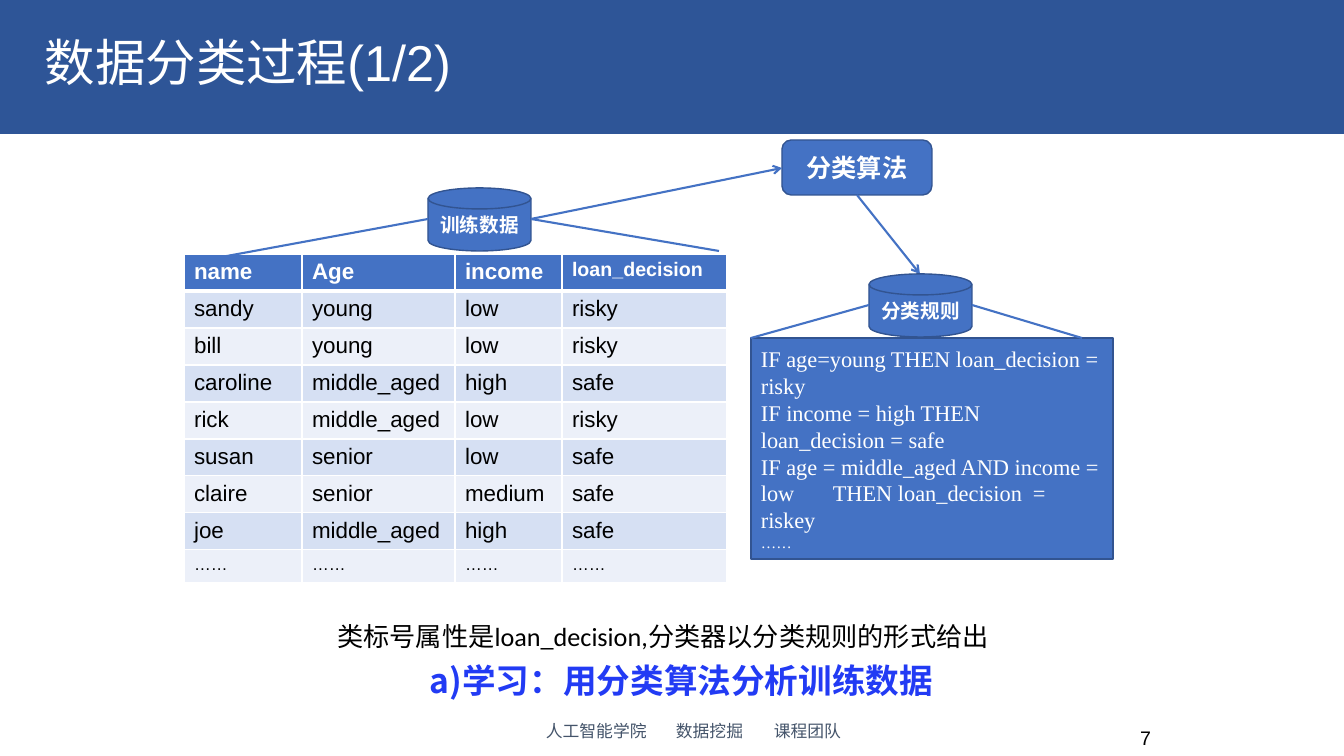
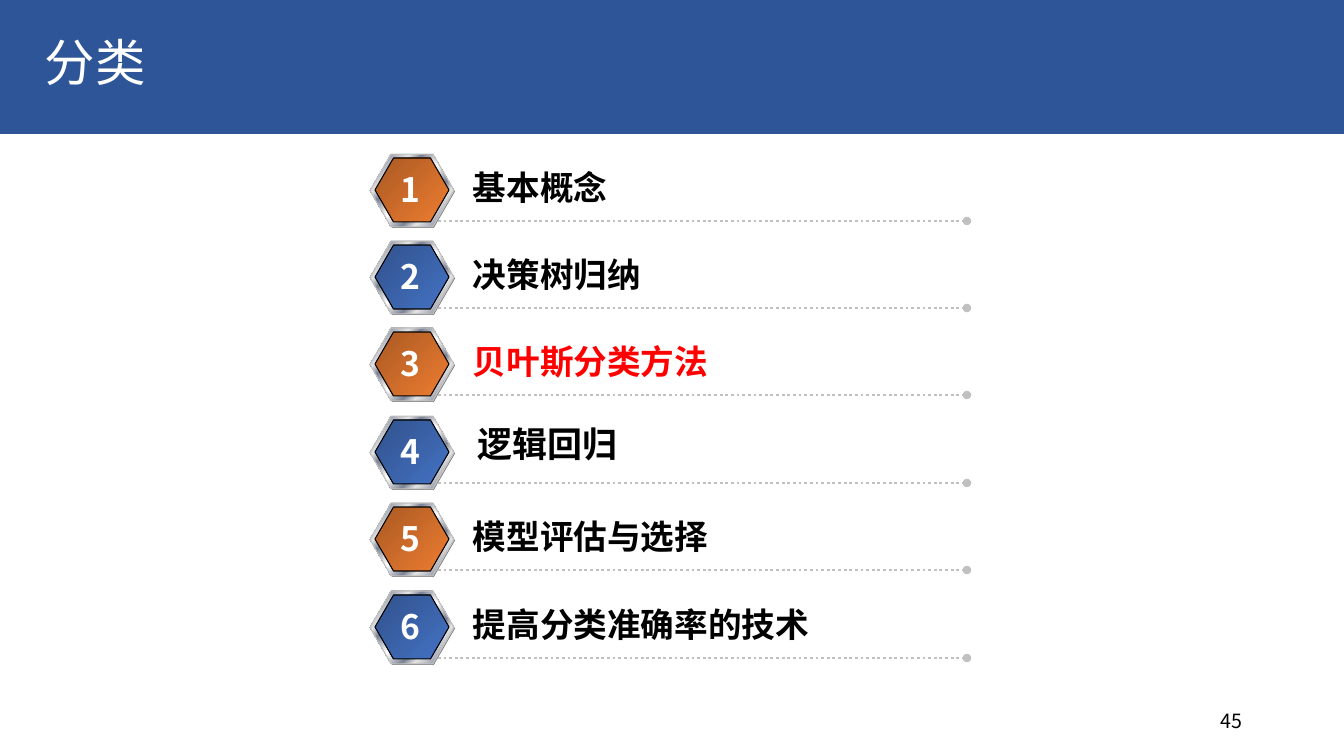
from pptx import Presentation
from pptx.dml.color import RGBColor
from pptx.enum.dml import MSO_LINE
from pptx.enum.shapes import MSO_CONNECTOR, MSO_SHAPE as SHAPE
from pptx.enum.text import MSO_ANCHOR as ANCHOR, PP_ALIGN as ALIGN
from pptx.oxml.ns import qn
from pptx.oxml.xmlchemy import OxmlElement
from pptx.util import Emu, Pt

WIDTH, HEIGHT = 1344, 756
SCALE = 12192000 / WIDTH
COLORS = {
    "band": "2E5597", "blue": "4472C4", "edge": "325491", "white": "FFFFFF",
    "black": "000000", "stripe": "D6E0F3", "pale": "ECF0F9", "learn": "223BF4",
    "footer": "44546A", "current": "FF0000", "silver": "C0C0C0", "shade": "808080",
    "metal_light": "E6E6E6", "metal_dark": "7D8496", "orange_dark": "AA5923",
    "orange": "ED7D31", "blue_dark": "31528C",
}
SANS, SERIF, CJK, BODY = "Arial", "Times New Roman", "Noto Sans CJK SC", "Calibri"
METAL = [(0, "metal_light"), (8, "metal_dark"), (26, "metal_light"), (34, "metal_dark"),
         (46, "metal_light"), (50, "white"), (54, "metal_light"), (66, "metal_dark"),
         (74, "metal_light"), (92, "metal_dark"), (100, "metal_light")]
BADGES = [[(0, "orange_dark"), (100, "orange")], [(0, "blue_dark"), (100, "blue")]]

CUSTOMERS = [
    ("name", "Age", "income", "loan_decision"),
    ("sandy", "young", "low", "risky"),
    ("bill", "young", "low", "risky"),
    ("caroline", "middle_aged", "high", "safe"),
    ("rick", "middle_aged", "low", "risky"),
    ("susan", "senior", "low", "safe"),
    ("claire", "senior", "medium", "safe"),
    ("joe", "middle_aged", "high", "safe"),
    ("……",) * 4,
]
RULES = [
    ("IF age=young THEN loan_decision = risky", 16),
    ("IF income = high THEN loan_decision = safe", 16),
    ("IF age = middle_aged AND income = low\tTHEN loan_decision\t= riskey", 16),
    ("……", 11),
]
TOPICS = ["基本概念", "决策树归纳", "贝叶斯分类方法", "逻辑回归", "模型评估与选择", "提高分类准确率的技术"]


def px(length):
    """Turn px into EMU."""
    return Emu(round(length * SCALE))


def rgb(name):
    """Look up a palette colour."""
    return RGBColor.from_string(COLORS[name])


def child(parent, tag, **attributes):
    """Append an XML element with attributes to a parent."""
    element = OxmlElement(tag)
    for key, value in attributes.items():
        element.set(key, str(value))
    parent.append(element)
    return element


def write(paragraph, text, size, color, face=CJK, bold=False, align=ALIGN.LEFT, tabs=()):
    """Add one formatted run, with tab stops, to a paragraph."""
    paragraph.alignment = align
    if tabs:
        stops = child(paragraph._p.get_or_add_pPr(), "a:tabLst")
        for stop in tabs:
            child(stops, "a:tab", pos=px(stop), algn="l")
    run = paragraph.add_run()
    run.text = text
    font = run.font
    font.size, font.bold, font.name = Pt(size), bold, face
    font.color.rgb = rgb(color)
    child(run._r.get_or_add_rPr(), "a:ea", typeface=CJK)


def label(slide, box, text, size, color, anchor=ANCHOR.TOP, wrap=True, **style):
    """Place a one-paragraph text box."""
    frame = slide.shapes.add_textbox(*map(px, box)).text_frame
    frame.word_wrap = wrap
    frame.vertical_anchor = anchor
    write(frame.paragraphs[0], text, size, color, **style)
    return frame


def block(slide, kind, box, fill="blue", edge="edge", weight=1):
    """Place a preset shape with a solid or gradient fill."""
    shape = slide.shapes.add_shape(kind, *map(px, box))
    shape.shadow.inherit = False
    if isinstance(fill, str):
        shape.fill.solid()
        shape.fill.fore_color.rgb = rgb(fill)
    else:
        shape.fill.gradient()
        shape.fill.gradient_angle = 315
        stops = shape._element.spPr.find(qn("a:gradFill")).find(qn("a:gsLst"))
        for stop in list(stops):
            stops.remove(stop)
        for percent, color in fill:
            child(child(stops, "a:gs", pos=percent * 1000), "a:srgbClr", val=COLORS[color])
    if edge:
        shape.line.color.rgb = rgb(edge)
        shape.line.width = Pt(weight)
    else:
        shape.line.fill.background()
    return shape


def node(slide, kind, box, text, size):
    """Place a process node with a centred bold caption."""
    frame = block(slide, kind, box).text_frame
    frame.vertical_anchor = ANCHOR.MIDDLE
    write(frame.paragraphs[0], text, size, "white", SERIF, True, ALIGN.CENTER)


def connect(slide, start, end, color="blue", weight=1.5, tail=None, dash=None):
    """Draw a straight line with an optional dash and end mark."""
    line = slide.shapes.add_connector(MSO_CONNECTOR.STRAIGHT, *map(px, start + end))
    line.line.color.rgb = rgb(color)
    line.line.width = Pt(weight)
    if dash:
        line.line.dash_style = dash
    if tail:
        child(line.line._get_or_add_ln(), "a:tailEnd", type=tail)
    child(line._element.spPr, "a:effectLst")


def titled_slide(deck, title):
    """Start a slide with the shared band and title."""
    slide = deck.slides.add_slide(deck.slide_layouts[6])
    block(slide, SHAPE.RECTANGLE, (0, 0, WIDTH, 134), "band", None)
    frame = label(slide, (35, 15, 1142, 101), title, 36, "white", ANCHOR.MIDDLE, face=SANS)
    frame.paragraphs[0].line_spacing = 0.9
    return slide


def fill_cell(cell, text, row, column):
    """Fill, border and caption one customer cell."""
    header = row == 0
    cell.fill.solid()
    cell.fill.fore_color.rgb = rgb("blue" if header else "stripe" if row % 2 else "pale")
    size = 12 if text == "……" else 14 if header and column == 3 else 16
    write(cell.text_frame.paragraphs[0], text, size, "white" if header else "black", SANS, header)
    properties = cell._tc.get_or_add_tcPr()
    weights = {"L": 1, "R": 1, "T": 3 if row == 1 else 1, "B": 3 if header else 1}
    for position, (side, weight) in enumerate(weights.items()):
        border = OxmlElement(f"a:ln{side}")
        border.set("w", str(Pt(weight)))
        child(child(border, "a:solidFill"), "a:srgbClr", val=COLORS["white"])
        properties.insert(position, border)


def customer_table(slide, left, top):
    """Place the training data table."""
    widths = (118, 153, 107, 165)
    heights = [37] * 8 + [33]
    table = slide.shapes.add_table(len(heights), len(widths), px(left), px(top),
                                   px(sum(widths)), px(sum(heights))).table
    table.first_row = table.horz_banding = False
    for column, width in zip(table.columns, widths):
        column.width = px(width)
    for row, height in zip(table.rows, heights):
        row.height = px(height)
    for row, customer in enumerate(CUSTOMERS):
        for column, text in enumerate(customer):
            fill_cell(table.cell(row, column), text, row, column)


def rule_box(slide, box):
    """Place the box of classification rules."""
    frame = block(slide, SHAPE.RECTANGLE, box).text_frame
    frame.word_wrap = True
    frame.vertical_anchor = ANCHOR.MIDDLE
    for index, (rule, size) in enumerate(RULES):
        paragraph = frame.add_paragraph() if index else frame.paragraphs[0]
        write(paragraph, rule, size, "white", SERIF, tabs=(72, 272) if "\t" in rule else ())


def data_store(slide, left, top, text, feet):
    """Place a data cylinder and the lines spreading from its sides."""
    width, height = 103, 63
    node(slide, SHAPE.FLOWCHART_MAGNETIC_DISK, (left, top, width, height), text, 14)
    for side, foot in zip((left, left + width), feet):
        connect(slide, (side, top + height // 2), foot)


def process_slide(deck):
    """Build the slide on the learning step."""
    slide = titled_slide(deck, "数据分类过程(1/2)")
    label(slide, (35, 611, 1256, 50), "类标号属性是loan_decision,分类器以分类规则的形式给出", 18.7,
          "black", ANCHOR.MIDDLE, face=BODY, align=ALIGN.CENTER)
    label(slide, (926, 721, 235, 35), "7", 14, "black", face=SANS, align=ALIGN.RIGHT)
    customer_table(slide, 184, 254)
    node(slide, SHAPE.FLOWCHART_ALTERNATE_PROCESS, (782, 140, 150, 55), "分类算法", 18)
    connect(slide, (531, 219), (782, 168), tail="arrow")
    connect(slide, (857, 195), (920, 274), tail="arrow")
    rule_box(slide, (751, 338, 362, 221))
    label(slide, (420, 655, 551, 51), "a)学习：用分类算法分析训练数据", 24, "learn", bold=True)
    data_store(slide, 869, 274, "分类规则", [(751, 338), (1082, 338)])
    data_store(slide, 428, 188, "训练数据", [(216, 258), (719, 251)])
    label(slide, (536, 711, 330, 40), "人工智能学院\t数据挖掘\t课程团队", 12, "footer",
          ANCHOR.MIDDLE, face=BODY, tabs=(130, 228))


def topic_row(slide, left, top, number, topic):
    """Place one agenda topic with its badge and dotted line."""
    hexagons = [((1, 1, 84, 73), "shade", None), ((0, 0, 84, 73), METAL, "silver"),
                ((5, 4, 74, 64), BADGES[(number - 1) % 2], "black")]
    for (x, y, width, height), fill, edge in hexagons:
        badge = block(slide, SHAPE.HEXAGON, (left + x, top + y, width, height), fill, edge, 0.75)
        badge.adjustments[0] = 0.29
    connect(slide, (left + 68, top + 67), (left + 597, top + 67), "silver", 2, "oval",
            MSO_LINE.ROUND_DOT)
    x, y, size, face = (98, 2, 25, SERIF) if topic == "逻辑回归" else (93, 8, 24, CJK)
    color = "current" if topic == "贝叶斯分类方法" else "black"
    label(slide, (left + x, top + y, 360, 51), topic, size, color, wrap=False, face=face, bold=True)
    label(slide, (left + 21, top + 10, 37, 51), str(number), 24, "white", wrap=False,
          bold=True, align=ALIGN.CENTER)


def agenda_slide(deck):
    """Build the slide listing the chapter topics."""
    slide = titled_slide(deck, "分类")
    label(slide, (950, 701, 302, 40), "45", 14, "black", ANCHOR.MIDDLE, align=ALIGN.RIGHT)
    for index, topic in enumerate(TOPICS):
        topic_row(slide, 370, 154 + index * 437 // 5, index + 1, topic)


def main():
    """Build and save the presentation."""
    deck = Presentation()
    deck.slide_width, deck.slide_height = px(WIDTH), px(HEIGHT)
    process_slide(deck)
    agenda_slide(deck)
    deck.save("out.pptx")


if __name__ == "__main__":
    main()
